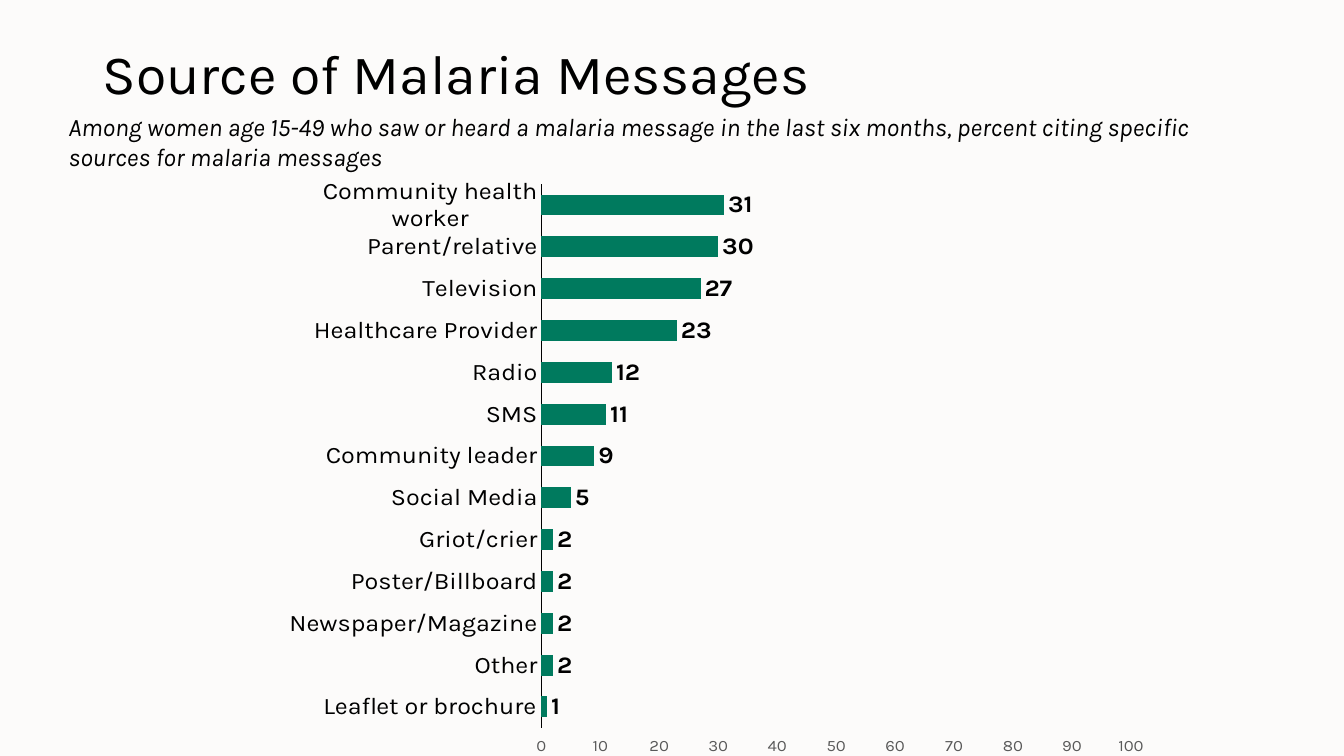
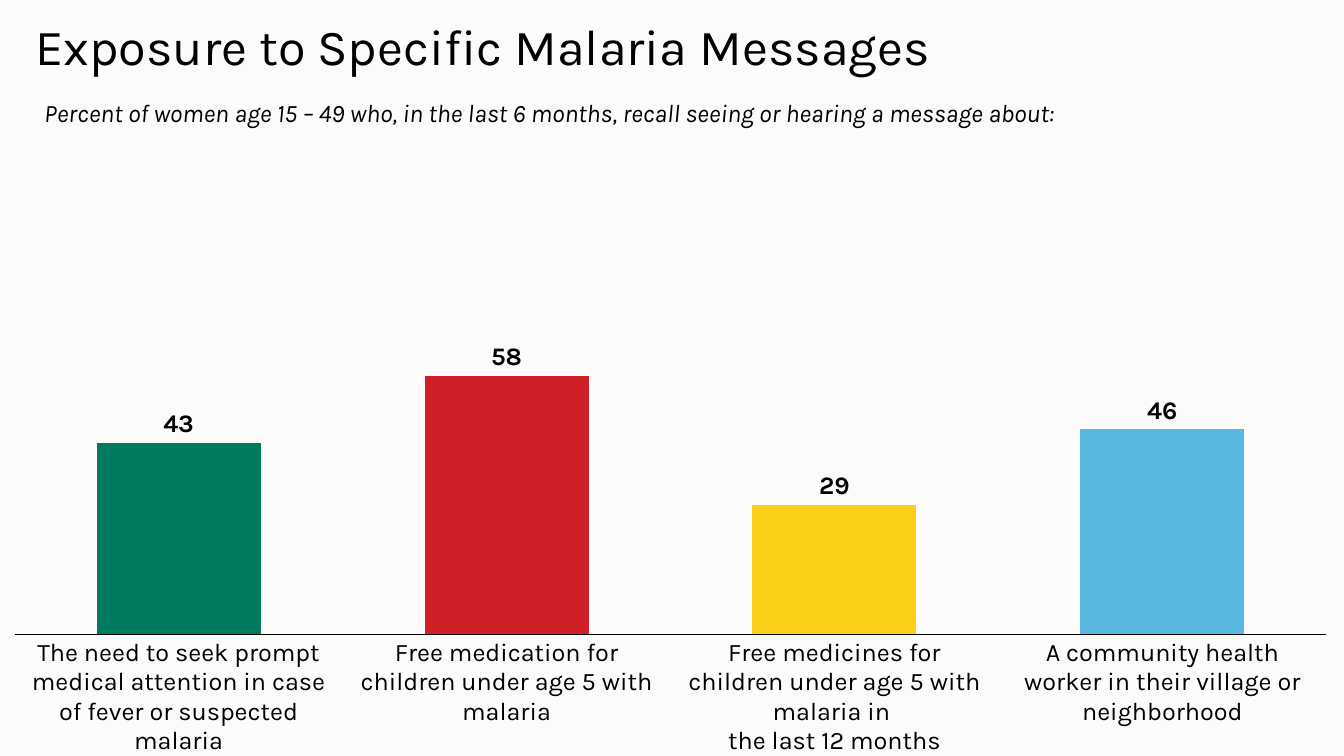
from dataclasses import dataclass

from lxml import etree
from pptx import Presentation
from pptx.chart.chart import Chart
from pptx.chart.data import CategoryChartData
from pptx.dml.color import RGBColor
from pptx.enum.chart import XL_CHART_TYPE, XL_LABEL_POSITION, XL_TICK_MARK
from pptx.enum.text import MSO_ANCHOR, MSO_AUTO_SIZE
from pptx.oxml.ns import qn
from pptx.slide import Slide
from pptx.util import Inches, Pt

BAR = XL_CHART_TYPE.BAR_CLUSTERED
COLUMN = XL_CHART_TYPE.COLUMN_CLUSTERED
OUTSIDE_END = XL_LABEL_POSITION.OUTSIDE_END
NO_TICK = XL_TICK_MARK.NONE
TOP, MIDDLE = MSO_ANCHOR.TOP, MSO_ANCHOR.MIDDLE
GROW = MSO_AUTO_SIZE.SHAPE_TO_FIT_TEXT
KEEP_SIZE = MSO_AUTO_SIZE.NONE

FONT = "Karla"
BODY_SIZE = 18
COLORS = {
    "background": "FCFBFA",
    "text": "000000",
    "scale": "595959",
    "green": "007A5E",
    "red": "CF2028",
    "yellow": "FBD018",
    "blue": "5AB7E0",
}


@dataclass(frozen=True)
class Box:
    left: float
    top: float
    width: float
    height: float


@dataclass(frozen=True)
class Caption:
    text: str
    box: Box
    size: float = BODY_SIZE
    italic: bool = False
    centered: bool = False


@dataclass(frozen=True)
class BarChart:
    kind: int
    box: Box
    plot: Box
    values: dict[str, int]
    colors: tuple[str, ...]
    show_scale: bool


@dataclass(frozen=True)
class Page:
    title: Caption
    subtitle: Caption
    chart: BarChart


PAGES = (
    Page(
        Caption("Source of Malaria Messages", Box(0.92, 0.4, 11.5, 0.71), 39.6, centered=True),
        Caption(
            "Among women age 15-49 who saw or heard a malaria message in the last six "
            "months, percent citing specific sources for malaria messages",
            Box(0.58, 1.05, 12.05, 0.71),
            italic=True,
        ),
        BarChart(
            BAR,
            Box(2.87, 1.76, 9.17, 5.74),
            Box(0.27, 0, 0.64, 1),
            {
                "Leaflet or brochure": 1,
                "Other": 2,
                "Newspaper/Magazine": 2,
                "Poster/Billboard": 2,
                "Griot/crier": 2,
                "Social Media": 5,
                "Community leader": 9,
                "SMS": 11,
                "Radio": 12,
                "Healthcare Provider": 23,
                "Television": 27,
                "Parent/relative": 30,
                "Community health worker": 31,
            },
            ("green",),
            True,
        ),
    ),
    Page(
        Caption("Exposure to Specific Malaria Messages", Box(0.25, 0.1, 13.07, 0.71), 36),
        Caption(
            "Percent of women age 15 – 49 who, in the last 6 months, recall seeing or "
            "hearing a message about:",
            Box(0.34, 0.92, 12.91, 0.4),
            italic=True,
        ),
        BarChart(
            COLUMN,
            Box(0.14, 1.76, 13.02, 5.74),
            Box(0, 0.02, 1, 0.77),
            {
                "The need to seek prompt medical attention in case of fever or suspected malaria": 43,
                "Free medication for children under age 5 with malaria": 58,
                "Free medicines for children under age 5 with malaria in \nthe last 12 months": 29,
                "A community health worker in their village or neighborhood": 46,
            },
            ("green", "red", "yellow", "blue"),
            False,
        ),
    ),
)


def rgb(name: str) -> RGBColor:
    return RGBColor.from_string(COLORS[name])


def style_font(font, size: float, color: str = "text", bold: bool = False, italic: bool = False) -> None:
    font.name = FONT
    font.size = Pt(size)
    font.bold = bold
    font.italic = italic
    font.color.rgb = rgb(color)


def place(box: Box) -> tuple[int, int, int, int]:
    return Inches(box.left), Inches(box.top), Inches(box.width), Inches(box.height)


def add_caption(slide: Slide, caption: Caption) -> None:
    frame = slide.shapes.add_textbox(*place(caption.box)).text_frame
    frame.word_wrap = True
    frame.auto_size = KEEP_SIZE if caption.centered else GROW
    frame.vertical_anchor = MIDDLE if caption.centered else TOP
    frame.text = caption.text
    paragraph = frame.paragraphs[0]
    if caption.centered:
        paragraph.line_spacing = 0.9
    style_font(paragraph.runs[0].font, caption.size, italic=caption.italic)


def set_plot_layout(chart: Chart, plot: Box) -> None:
    plot_area = chart.element.find(".//" + qn("c:plotArea"))
    for layout in plot_area.findall(qn("c:layout")):
        plot_area.remove(layout)
    layout = etree.Element(qn("c:layout"))
    manual = etree.SubElement(layout, qn("c:manualLayout"))
    settings = {
        "layoutTarget": "inner",
        "xMode": "edge",
        "yMode": "edge",
        "x": plot.left,
        "y": plot.top,
        "w": plot.width,
        "h": plot.height,
    }
    for tag, value in settings.items():
        etree.SubElement(manual, qn(f"c:{tag}")).set("val", str(value))
    plot_area.insert(0, layout)


def show_every_category(chart: Chart) -> None:
    label_skip = etree.Element(qn("c:tickLblSkip"))
    label_skip.set("val", "1")
    chart.element.find(".//" + qn("c:noMultiLvlLbl")).addprevious(label_skip)


def style_axes(chart: Chart, show_scale: bool) -> None:
    categories = chart.category_axis
    categories.major_tick_mark = NO_TICK
    categories.has_major_gridlines = False
    categories.format.line.color.rgb = rgb("text")
    categories.format.line.width = Pt(0.75)
    style_font(categories.tick_labels.font, BODY_SIZE)
    show_every_category(chart)

    scale = chart.value_axis
    scale.minimum_scale = 0
    scale.maximum_scale = 100
    scale.major_unit = 10
    scale.has_major_gridlines = False
    scale.visible = show_scale
    scale.format.line.fill.background()
    style_font(scale.tick_labels.font, 12, "scale")


def add_bar_chart(slide: Slide, bars: BarChart) -> None:
    data = CategoryChartData()
    data.categories = list(bars.values)
    data.add_series("Series 1", list(bars.values.values()))
    chart = slide.shapes.add_chart(bars.kind, *place(bars.box), data).chart
    chart.has_title = False
    chart.has_legend = False
    style_font(chart.font, 10)
    set_plot_layout(chart, bars.plot)
    style_axes(chart, bars.show_scale)

    plot = chart.plots[0]
    plot.gap_width = 100
    plot.vary_by_categories = False
    series = plot.series[0]
    series.format.fill.solid()
    series.format.fill.fore_color.rgb = rgb(bars.colors[0])
    for index, color in enumerate(bars.colors[1:], start=1):
        fill = series.points[index].format.fill
        fill.solid()
        fill.fore_color.rgb = rgb(color)

    labels = series.data_labels
    labels.show_value = True
    labels.position = OUTSIDE_END
    style_font(labels.font, BODY_SIZE, bold=True)


def main() -> None:
    deck = Presentation()
    deck.slide_width = Inches(13.33)
    deck.slide_height = Inches(7.5)
    blank = deck.slide_layouts[6]
    background = deck.slide_master.background.fill
    background.solid()
    background.fore_color.rgb = rgb("background")
    for page in PAGES:
        slide = deck.slides.add_slide(blank)
        add_bar_chart(slide, page.chart)
        add_caption(slide, page.title)
        add_caption(slide, page.subtitle)
    deck.save("out.pptx")


if __name__ == "__main__":
    main()
